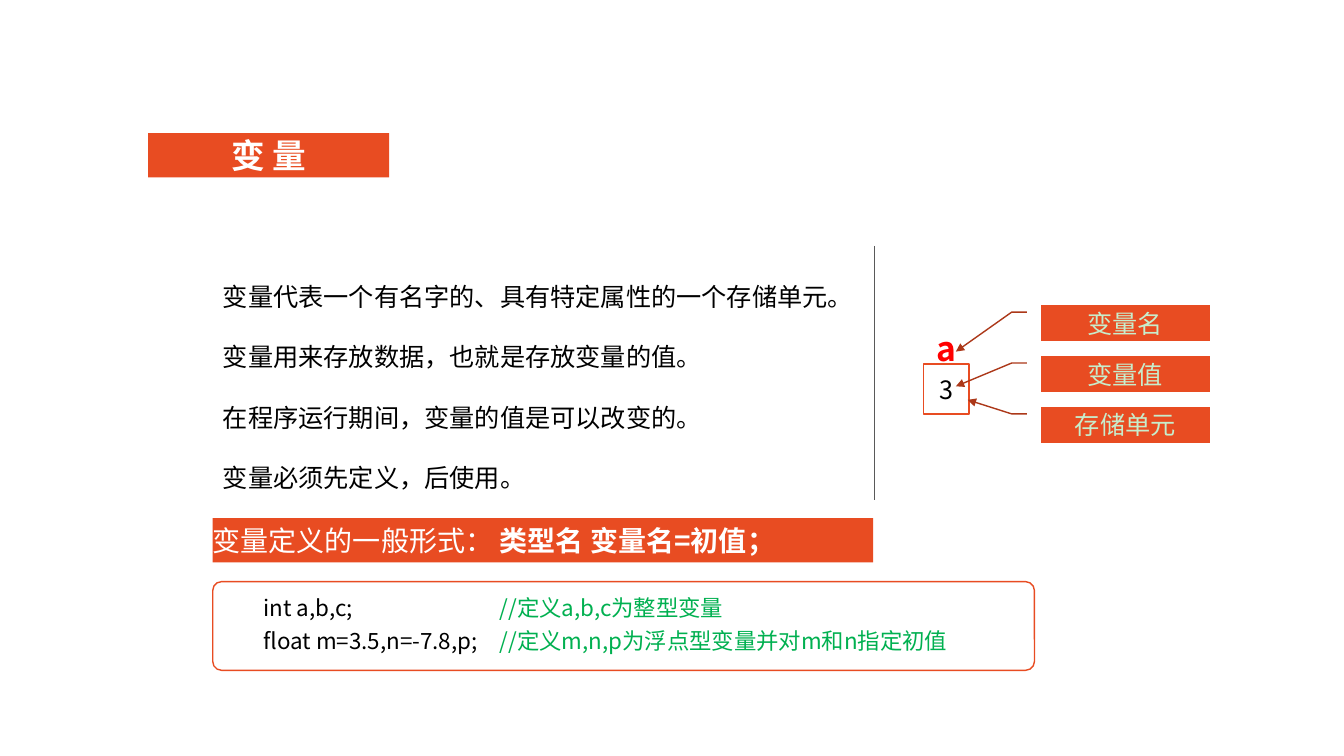
"""Builds the slide on defining variables."""
from pptx import Presentation
from pptx.dml.color import RGBColor
from pptx.enum.shapes import MSO_CONNECTOR, MSO_SHAPE
from pptx.enum.text import MSO_ANCHOR, MSO_AUTO_SIZE, PP_ALIGN
from pptx.oxml.ns import qn
from pptx.util import Inches, Pt
from lxml.etree import SubElement

FONT = "Noto Sans CJK SC"
ORANGE, BROWN, GREY = "E84C22", "AC3819", "595959"
WHITE, BLACK, RED, GREEN, MINT = "FFFFFF", "000000", "FF0000", "00B050", "C7EDCC"


def paint(shape, fill=None, line=None, margin=None):
    if fill:
        shape.fill.solid()
        shape.fill.fore_color.rgb = RGBColor.from_string(fill)
    if line:
        shape.line.color.rgb = RGBColor.from_string(line)
        shape.line.width = Pt(1)
    else:
        shape.line.fill.background()
    shape.shadow.inherit = False
    frame = shape.text_frame
    frame.word_wrap = True
    frame.auto_size = MSO_AUTO_SIZE.NONE
    frame.vertical_anchor = MSO_ANCHOR.MIDDLE
    if margin is not None:
        frame.margin_left = frame.margin_right = margin
        frame.margin_top = frame.margin_bottom = margin
    return frame


def style(target, size, color, bold=False, align=None):
    font = target.font
    font.size = Pt(size)
    font.bold = bold
    font.color.rgb = RGBColor.from_string(color)
    font.name = FONT
    SubElement(font._element, qn("a:ea"), typeface=FONT)
    if align is not None:
        target.alignment = align


deck = Presentation()
deck.slide_width, deck.slide_height = Inches(13.33), Inches(7.5)
page = deck.slides.add_slide(deck.slide_layouts[1])
shapes = page.shapes

title = shapes.title
title.left, title.top, title.width, title.height = map(Inches, (1.47, 1.32, 2.39, 0.44))
frame = paint(title, ORANGE, margin=0)
frame.text = "变 量"
style(frame.paragraphs[0], 24, WHITE, True, PP_ALIGN.CENTER)

body = page.placeholders[1]
body.left, body.top, body.width, body.height = map(Inches, (2.11, 2.44, 7.05, 2.52))
frame = paint(body)
frame.vertical_anchor = MSO_ANCHOR.TOP
frame.text = "\n".join([
    "变量代表一个有名字的、具有特定属性的一个存储单元。",
    "变量用来存放数据，也就是存放变量的值。",
    "在程序运行期间，变量的值是可以改变的。",
    "变量必须先定义，后使用。",
])
for para in frame.paragraphs:
    para.line_spacing = 2.0
    para.space_before = Pt(0)
    properties = para._p.get_or_add_pPr()
    properties.set("marL", "0")
    properties.set("indent", "0")
    SubElement(properties, qn("a:buNone"))
    style(para, 18, BLACK, align=PP_ALIGN.LEFT)

name = shapes.add_textbox(Inches(9.16), Inches(3.2), Inches(0.45), Inches(0.5))
name.text_frame.word_wrap = True
name.text_frame.text = "a"
style(name.text_frame.paragraphs[0], 24, RED, True, PP_ALIGN.CENTER)

cell = shapes.add_shape(MSO_SHAPE.RECTANGLE, Inches(9.16), Inches(3.61), Inches(0.45), Inches(0.5))
frame = paint(cell, WHITE, ORANGE)
frame.text = "3"
style(frame.paragraphs[0], 18, BLACK, align=PP_ALIGN.CENTER)

callouts = [("变量名", 1.31, -0.5), ("变量值", 0.85, -0.5), ("存储单元", -0.21, -0.43)]
for row, (label, tip_y, tip_x) in enumerate(callouts):
    callout = shapes.add_shape(
        MSO_SHAPE.LINE_CALLOUT_2_NO_BORDER,
        Inches(10.32), Inches(3.03 + 0.505 * row), Inches(1.68), Inches(0.35))
    for index, value in enumerate((0.19, -0.08, 0.19, -0.17, tip_y, tip_x)):
        callout.adjustments[index] = value
    frame = paint(callout, ORANGE, BROWN)
    SubElement(callout.line._get_or_add_ln(), qn("a:tailEnd"), type="triangle")
    frame.text = label
    style(frame.paragraphs[0], 18, MINT, align=PP_ALIGN.CENTER)

divider = shapes.add_connector(
    MSO_CONNECTOR.STRAIGHT, Inches(8.67), Inches(2.44), Inches(8.67), Inches(4.96))
divider.line.color.rgb = RGBColor.from_string(GREY)
divider.line.width = Pt(0.5)
SubElement(divider._element.spPr, qn("a:effectLst"))

banner = shapes.add_shape(MSO_SHAPE.RECTANGLE, Inches(2.11), Inches(5.14), Inches(6.55), Inches(0.44))
para = paint(banner, ORANGE, margin=0).paragraphs[0]
para.alignment = PP_ALIGN.JUSTIFY
for text, bold in [("变量定义的一般形式： ", False), ("类型名 变量名=初值；", True)]:
    span = para.add_run()
    span.text = text
    style(span, 20, WHITE, bold)

example = shapes.add_shape(
    MSO_SHAPE.ROUNDED_RECTANGLE, Inches(2.11), Inches(5.77), Inches(8.15), Inches(0.88))
example.adjustments[0] = 0.1
frame = paint(example, WHITE, ORANGE)
frame.vertical_anchor = MSO_ANCHOR.TOP
frame.margin_left = Inches(0.48)
statements = [
    ("int a,b,c;\t", "//定义a,b,c为整型变量"),
    ("float m=3.5,n=-7.8,p;\t", "//定义m,n,p为浮点型变量并对m和n指定初值"),
]
frame.text = "\n".join([""] * len(statements))
for para, (code, comment) in zip(frame.paragraphs, statements):
    para.alignment = PP_ALIGN.LEFT
    para.line_spacing = 1.2
    tabs = SubElement(para._p.get_or_add_pPr(), qn("a:tabLst"))
    SubElement(tabs, qn("a:tab"), pos=str(Inches(2.34)), algn="l")
    for text, color in ((code, BLACK), (comment, GREEN)):
        span = para.add_run()
        span.text = text
        style(span, 16, color)

deck.save("out.pptx")
